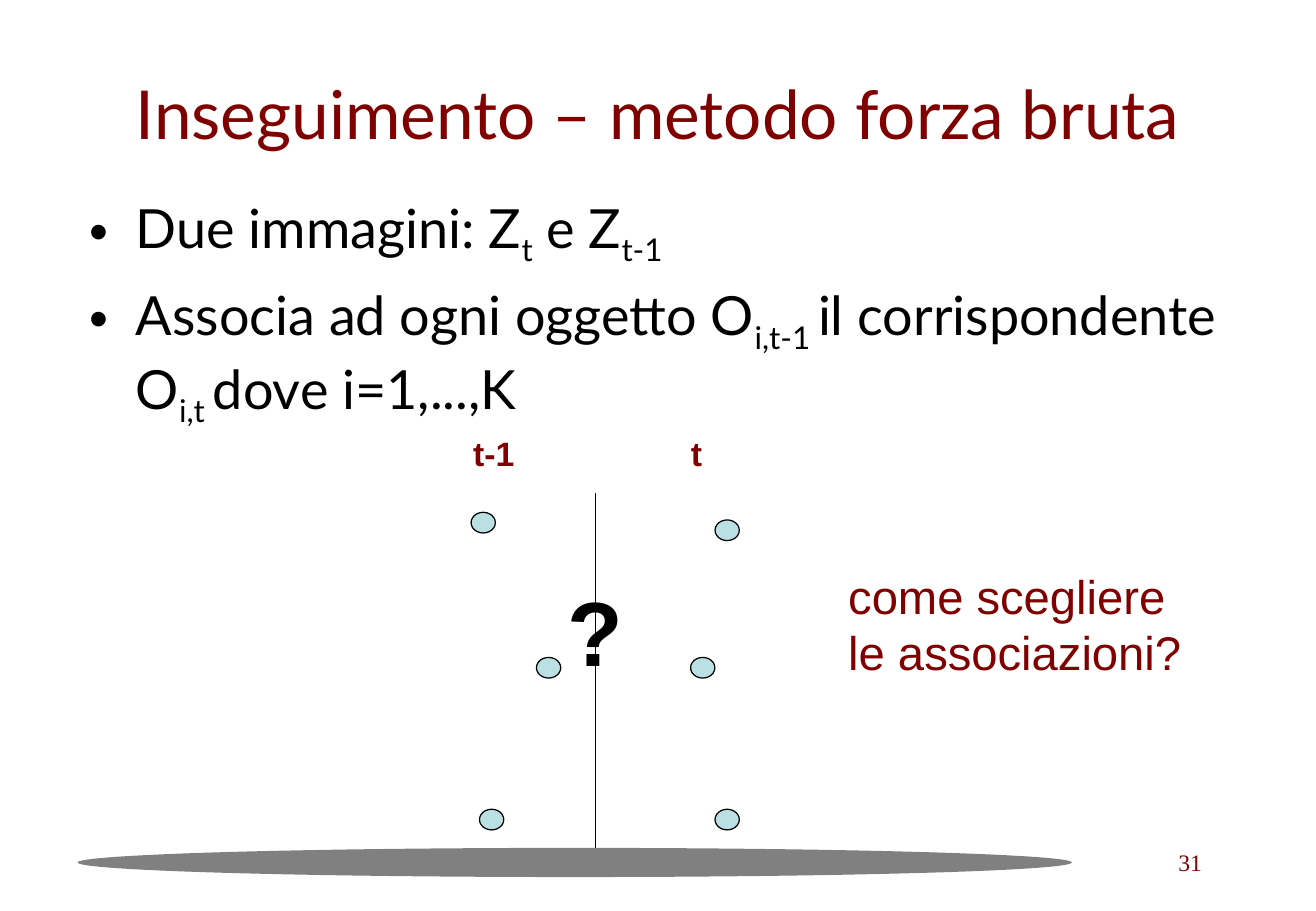
from dataclasses import dataclass

from lxml.etree import SubElement
from pptx import Presentation
from pptx.dml.color import RGBColor
from pptx.enum.shapes import MSO_CONNECTOR, MSO_SHAPE
from pptx.enum.text import MSO_ANCHOR, MSO_AUTO_SIZE, PP_ALIGN
from pptx.oxml.ns import qn
from pptx.util import Pt


@dataclass(frozen=True)
class Theme:
    accent: RGBColor = RGBColor(0x80, 0x00, 0x00)
    ink: RGBColor = RGBColor(0x00, 0x00, 0x00)
    band: RGBColor = RGBColor(0x80, 0x80, 0x80)
    target: RGBColor = RGBColor(0xBB, 0xE0, 0xE3)
    heading_font: str = "Lato"
    label_font: str = "Arial"
    number_font: str = "Times New Roman"
    title: int = 40
    body: int = 32
    question: int = 28
    label: int = 20
    mark: int = 54
    number: int = 14
    outline: float = 0.75


THEME = Theme()

# Each bullet is a list of (text, is subscript)
BULLETS = [
    [("Due immagini: Z", False), ("t", True), (" e Z", False), ("t-1", True)],
    [("Associa ad ogni oggetto O", False), ("i,t-1 ", True),
     ("il corrispondente O", False), ("i,t ", True), ("dove i=1,...,K", False)],
]

# Object positions inside the diagram, by frame
OBJECTS_BEFORE = [(5.8, 51), (44.6, 137), (10.8, 227)]
OBJECTS_AFTER = [(150.5, 55.5), (136, 137), (150.5, 227)]


def style(paragraph, font_name, size, color, bold=False):
    font = paragraph.font
    font.name, font.size, font.bold = font_name, Pt(size), bold
    font.color.rgb = color


def place(shape, box):
    shape.left, shape.top, shape.width, shape.height = map(Pt, box)


def add_label(slide, box, lines, font_name, size, color, bold=False,
              align=PP_ALIGN.LEFT, wrap=False):
    label = slide.shapes.add_textbox(*map(Pt, box))
    frame = label.text_frame
    frame.text = "\n".join(lines)
    frame.word_wrap = wrap
    frame.auto_size = MSO_AUTO_SIZE.NONE if wrap else MSO_AUTO_SIZE.SHAPE_TO_FIT_TEXT
    for paragraph in frame.paragraphs:
        paragraph.alignment = align
        style(paragraph, font_name, size, color, bold)


def add_ellipse(slide, box, fill, outline=None):
    ellipse = slide.shapes.add_shape(MSO_SHAPE.OVAL, *map(Pt, box))
    ellipse.shadow.inherit = False
    ellipse.fill.solid()
    ellipse.fill.fore_color.rgb = fill
    if outline is None:
        ellipse.line.fill.background()
    else:
        ellipse.line.color.rgb = outline
        ellipse.line.width = Pt(THEME.outline)


def add_bullet(paragraph, indent):
    properties = paragraph._p.get_or_add_pPr()
    properties.set("marL", str(Pt(indent)))
    properties.set("indent", str(-Pt(indent)))
    bullet_color = SubElement(properties, qn("a:buClr"))
    SubElement(bullet_color, qn("a:srgbClr")).set("val", str(THEME.ink))
    SubElement(properties, qn("a:buFont")).set("typeface", "Arial")
    SubElement(properties, qn("a:buChar")).set("char", "•")


def fill_title(slide, box):
    title = slide.shapes.title
    place(title, box)
    frame = title.text_frame
    frame.text = "Inseguimento – metodo forza bruta"
    frame.auto_size = MSO_AUTO_SIZE.NONE
    frame.vertical_anchor = MSO_ANCHOR.MIDDLE
    heading = frame.paragraphs[0]
    heading.alignment = PP_ALIGN.CENTER
    style(heading, THEME.heading_font, THEME.title, THEME.accent)


def fill_body(slide, box):
    body = slide.placeholders[1]
    place(body, box)
    frame = body.text_frame
    frame.auto_size = MSO_AUTO_SIZE.NONE
    for index, pieces in enumerate(BULLETS):
        paragraph = frame.add_paragraph() if index else frame.paragraphs[0]
        paragraph.space_before = Pt(8 if index else 0)
        add_bullet(paragraph, 27.36)
        style(paragraph, THEME.heading_font, THEME.body, THEME.ink)
        for text, is_subscript in pieces:
            run = paragraph.add_run()
            run.text = text
            if is_subscript:
                run._r.get_or_add_rPr().set("baseline", "-25000")


def draw_diagram(slide, box):
    left, top, width, height = box

    # Objects seen in the two frames
    for x, y in OBJECTS_BEFORE + OBJECTS_AFTER:
        add_ellipse(slide, (left + x, top + y, 14.4, 12.25), THEME.target, THEME.ink)

    # Divider between the frames
    middle = left + width / 2
    divider = slide.shapes.add_connector(
        MSO_CONNECTOR.STRAIGHT,
        Pt(middle), Pt(top + 39.6), Pt(middle), Pt(top + height))
    divider.line.color.rgb = THEME.ink
    divider.line.width = Pt(THEME.outline)
    SubElement(divider._element.spPr, qn("a:effectLst"))

    # Frame names and the question mark
    for name, x, name_width in (("t-1", 0, 39), ("t", 129, 21)):
        add_label(slide, (left + x, top, name_width, 31.5), [name],
                  THEME.label_font, THEME.label, THEME.accent, bold=True)
    add_label(slide, (middle - 23.75, top + 85, 47.5, 72), ["?"],
              THEME.label_font, THEME.mark, THEME.ink, bold=True)


def draw_question(slide, box):
    add_label(slide, box, ["come scegliere", "le associazioni?"],
              THEME.label_font, THEME.question, THEME.accent)


def draw_footer(slide, box):
    left, top, width, height = box
    add_ellipse(slide, (left, top + 3.6, 589.7, 17.3), THEME.band)
    number_width = 182
    add_label(slide, (left + width - number_width, top, number_width, height), ["31"],
              THEME.number_font, THEME.number, THEME.accent,
              align=PP_ALIGN.RIGHT, wrap=True)


def main():
    presentation = Presentation()
    presentation.slide_width, presentation.slide_height = Pt(780.48), Pt(540)
    slide = presentation.slides.add_slide(presentation.slide_layouts[1])
    draw_footer(slide, (46, 499, 674, 37.5))
    fill_title(slide, (39, 21.6, 702, 90))
    fill_body(slide, (46, 111.6, 702, 356.4))
    draw_diagram(slide, (273.6, 252.7, 158.8, 250))
    draw_question(slide, (496, 332.6, 211.7, 75))
    presentation.save("out.pptx")


if __name__ == "__main__":
    main()
